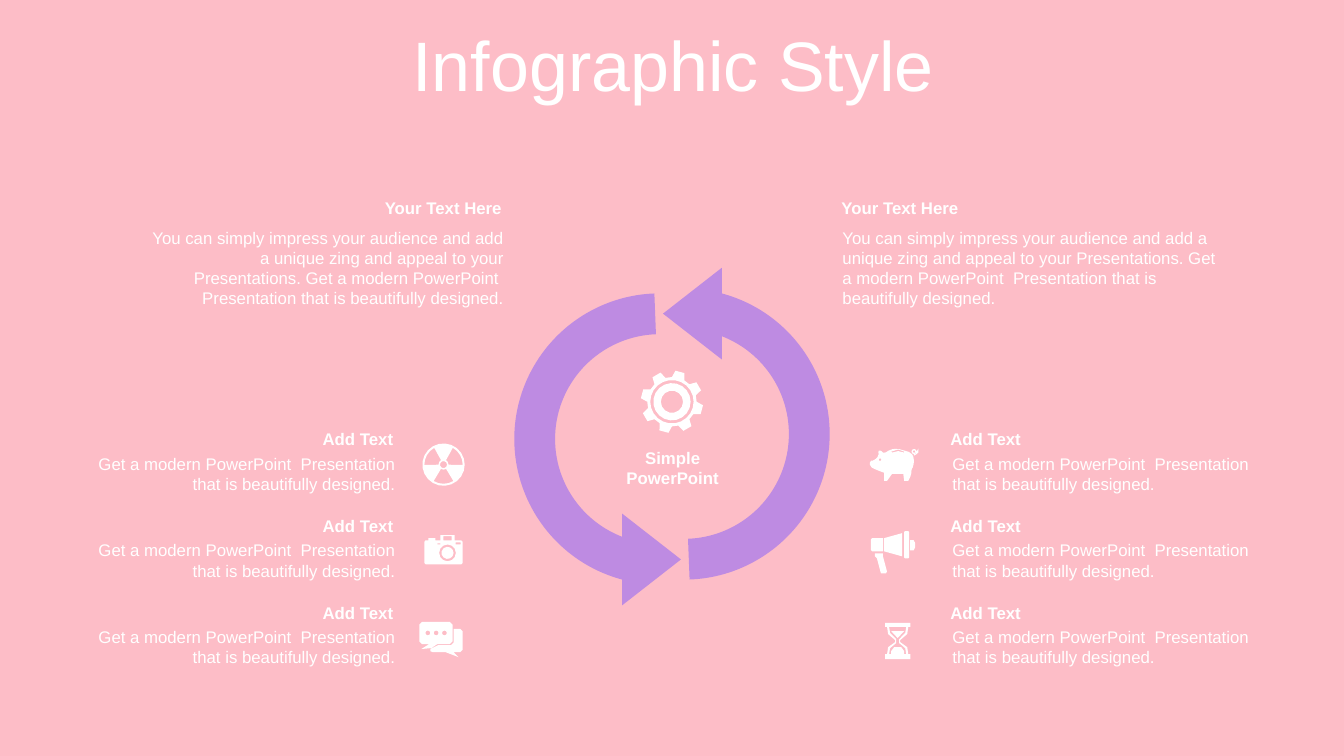
from math import ceil, cos, dist, radians, sin

from pptx import Presentation
from pptx.dml.color import RGBColor
from pptx.enum.shapes import MSO_SHAPE as Shape
from pptx.enum.text import MSO_ANCHOR as Anchor, MSO_AUTO_SIZE as AutoSize, PP_ALIGN as Align
from pptx.util import Pt

PINK, PURPLE, WHITE = "FDBDC7", "BE8BE2", "FFFFFF"
INTRO = ("You can simply impress your audience and add a unique zing and appeal to your "
         "Presentations. Get a modern PowerPoint  Presentation that is beautifully designed.")
DETAIL = "Get a modern PowerPoint  Presentation that is beautifully designed."
ICON_UNIT = 0.72  # points per step of the icon grid


def paint(fill, color):
    fill.solid()
    fill.fore_color.rgb = RGBColor.from_string(color)


def finish_shape(shape, color):
    paint(shape.fill, color)
    shape.line.fill.background()
    shape.shadow.inherit = False


def write_text(shape, lines, align, size=12, bold=False, **paragraph_format):
    frame = shape.text_frame
    frame.word_wrap = True
    frame.text = "\n".join(lines)
    for paragraph in frame.paragraphs:
        for name, value in {"alignment": align, **paragraph_format}.items():
            setattr(paragraph, name, value)
        for name, value in {"size": Pt(size), "bold": bold, "name": "Arial"}.items():
            setattr(paragraph.runs[0].font, name, value)
        paint(paragraph.runs[0].font.fill, WHITE)


def add_text(slide, box, lines, align, bold=False):
    shape = slide.shapes.add_textbox(*map(Pt, box))
    write_text(shape, lines, align, bold=bold)
    shape.text_frame.auto_size = AutoSize.SHAPE_TO_FIT_TEXT


# Icon outlines

def arc(x, y, radius, start=0, end=360):
    """Larger arcs get more points; a full circle closes itself."""
    steps = ceil(abs(end - start) / 360 * (6 + 0.7 * radius))
    count = steps if end - start == 360 else steps + 1
    angles = [radians(start + (end - start) * i / steps) for i in range(count)]
    return [(x + radius * cos(a), y + radius * sin(a)) for a in angles]


def rectangle(left, top, right, bottom):
    return [(left, top), (right, top), (right, bottom), (left, bottom)]


def bevelled(points, size, sharp=()):
    """Cut off every corner except those whose index is in sharp."""
    outline = []
    for i, corner in enumerate(points):
        if i in sharp:
            outline.append(corner)
            continue
        for other in (points[i - 1], points[(i + 1) % len(points)]):
            share = min(0.3, 0.6 * size / dist(corner, other))
            outline.append(tuple(c + (o - c) * share for c, o in zip(corner, other)))
    return outline


def gear():
    teeth = [(30.5 + r * cos(radians(a + turn)), 30.5 + r * sin(radians(a + turn)))
             for turn in range(-75, 285, 45)
             for a, r in ((-15, 24.5), (-8.5, 31), (8.5, 31), (15, 24.5))]
    return [teeth] + [arc(30.5, 30.5, radius) for radius in (21.5, 18.5, 11)]


def radiation():
    blades = [arc(21, 21, 19, mid - 31, mid + 31) + arc(21, 21, 5, mid + 31, mid - 31)
              for mid in (90, 210, 330)]
    return [arc(21, 21, 21), arc(21, 21, 3.5)] + blades


def camera():
    body = [(0, 5), (4, 5), (4, 3), (11, 3), (11, 5), (16, 5), (16, 0), (30, 0),
            (30, 5), (38, 5), (38, 29), (0, 29)]
    return [bevelled(body, 2.5, (1, 2, 3, 4, 5, 6, 7, 8)), rectangle(19, 1, 27, 5),
            rectangle(13, 8, 16, 9), rectangle(31, 7, 36, 9),
            arc(23, 17.5, 8.3), arc(23, 17.5, 6)]


def chat():
    front = [(0, 0), (33, 0), (33, 22), (18, 22), (12, 26), (2, 27), (10, 22), (0, 22)]
    back = [(34, 7), (43, 7), (43, 30), (34, 30), (39, 35), (26, 30), (11, 30),
            (11, 27), (19, 23), (34, 23)]
    return [bevelled(front, 4.5, (3, 4, 5, 6)),
            bevelled(back, 4, (0, 3, 4, 5, 7, 8))] + [
        arc(x, 11, 2.4) for x in (8.5, 16.75, 25)]


def pig():
    body = [(27, 0), (41, 4), (44, 10), (43, 18), (41, 21), (41, 26), (38, 32), (34, 32),
            (33, 25), (22, 25), (17, 32), (14, 32), (14, 24), (6, 21), (0, 18), (0, 12),
            (4, 12), (9, 7), (8, 2), (11, 2), (14, 5), (20, 1)]
    slot = [(21, 3), (28, 1), (34, 3), (34, 4), (28, 2.5), (22, 4)]
    tail = [(46.5, 3), (48, 0), (48, 4), (45, 6.5), (43.5, 7), (43.5, 6)]
    return [bevelled(body, 4, range(6, 13)), slot, arc(10, 11, 1.3), tail,
            arc(43.8, 3, 2.6), arc(43.8, 3, 1.2)]


def megaphone():
    handle = [(4, 22), (12, 22), (12, 25), (16, 40), (15, 42), (10, 42), (6, 27), (4, 25)]
    return [handle, bevelled(rectangle(0, 7, 12, 20), 2, (1, 2)),
            [(13, 7), (31, 2), (31, 25), (13, 20)],
            bevelled(rectangle(33, 0, 38, 27), 1.5),
            bevelled(rectangle(39, 9, 44, 19), 5, (0, 3))]


def hourglass():
    frame = [(0, 0), (25, 0), (25, 4), (23, 4), (22, 11), (15, 17), (15, 19), (22, 24),
             (23, 31), (25, 31), (25, 36), (0, 36), (0, 31), (2, 31), (3, 24), (10, 19),
             (10, 17), (3, 11), (2, 4), (0, 4)]
    glass = [(4, 4), (21, 4), (20, 10), (14, 16), (14, 20), (20, 25), (21, 31), (4, 31),
             (5, 25), (11, 20), (11, 16), (5, 10)]
    sand = [(6, 31), (6, 28), (9, 24), (16, 24), (19, 28), (19, 31)]
    return [frame, glass, [(6, 8), (19, 8), (12.5, 15)], sand]


def add_icon(slide, contours, left, top):
    scaled = [[(Pt(x * ICON_UNIT), Pt(y * ICON_UNIT)) for x, y in contour]
              for contour in contours]
    builder = slide.shapes.build_freeform(*scaled[0][0])
    builder.add_line_segments(scaled[0][1:])
    for contour in scaled[1:]:
        builder.move_to(*contour[0])
        builder.add_line_segments(contour[1:])
    finish_shape(builder.convert_to_shape(Pt(left), Pt(top)), WHITE)


# Slide regions

def add_title(slide, box):
    title = slide.shapes.title
    for name, value in zip(("left", "top", "width", "height"), box):
        setattr(title, name, Pt(value))
    write_text(title, ["Infographic Style"], Align.CENTER, 50,
               line_spacing=0.8, space_before=Pt(10))
    title.text_frame.auto_size = AutoSize.NONE
    title.text_frame.vertical_anchor = Anchor.MIDDLE


def add_cycle(slide, center_x, center_y):
    """Two arrows, each the other turned by half a circle, around a gear and a label."""
    for side, turn in ((1, 0), (-1, 180)):
        for kind, dx, dy, width, height, rotation in (
                (Shape.BLOCK_ARC, -8.6, 1.8, 208, 208, 0),
                (Shape.ISOSCELES_TRIANGLE, -14.6, 87.8, 65.5, 42, 90)):
            shape = slide.shapes.add_shape(
                kind, Pt(center_x + side * dx - width / 2),
                Pt(center_y + side * dy - height / 2), Pt(width), Pt(height))
            shape.rotation = turn + rotation
            finish_shape(shape, PURPLE)
            if kind == Shape.BLOCK_ARC:
                for i, value in enumerate((60.83, 160.7, 0.14)):
                    shape.adjustments[i] = value
    add_icon(slide, gear(), center_x - 22, center_y - 46.8)
    add_text(slide, (center_x - 56, center_y + 4.2, 113, 36), ["Simple", "PowerPoint"],
             Align.CENTER, bold=True)


def add_entry(slide, box, heading, text, align, inset, drop):
    """Put a heading over a text that is shifted by inset and drop."""
    left, top, width, height = box
    add_text(slide, (left, top, width, 22), [heading], align, bold=True)
    add_text(slide, (left + inset, top + drop, width, height - drop), [text], align)


def add_column(slide, left, width, align, icons):
    for row, (contours, icon_left, icon_top) in enumerate(icons):
        top = 303 + row * 62
        add_entry(slide, (left, top, width, 53.3), "Add Text", DETAIL, align, 1.5, 17.3)
        add_icon(slide, contours, icon_left, top + icon_top)


def main():
    presentation = Presentation()
    presentation.slide_width, presentation.slide_height = Pt(960), Pt(540)
    slide = presentation.slides.add_slide(presentation.slide_layouts[5])
    paint(slide.background.fill, PINK)
    add_title(slide, (25, 22.3, 912, 57))
    add_cycle(slide, 480, 311.8)
    add_entry(slide, (99.5, 137.5, 266, 87), "Your Text Here", INTRO, Align.RIGHT, 1.5, 21.6)
    add_entry(slide, (594, 137.5, 283, 87), "Your Text Here", INTRO, Align.LEFT, 0.7, 21.6)
    add_column(slide, 55.5, 232.5, Align.RIGHT, [
        (radiation(), 301.7, 13.8), (camera(), 303.1, 17.3), (chat(), 299.5, 17.2)])
    add_column(slide, 671.7, 231, Align.LEFT, [
        (pig(), 621.4, 17.4), (megaphone(), 622.1, 14.4), (hourglass(), 632.2, 18)])
    presentation.save("out.pptx")


if __name__ == "__main__":
    main()
